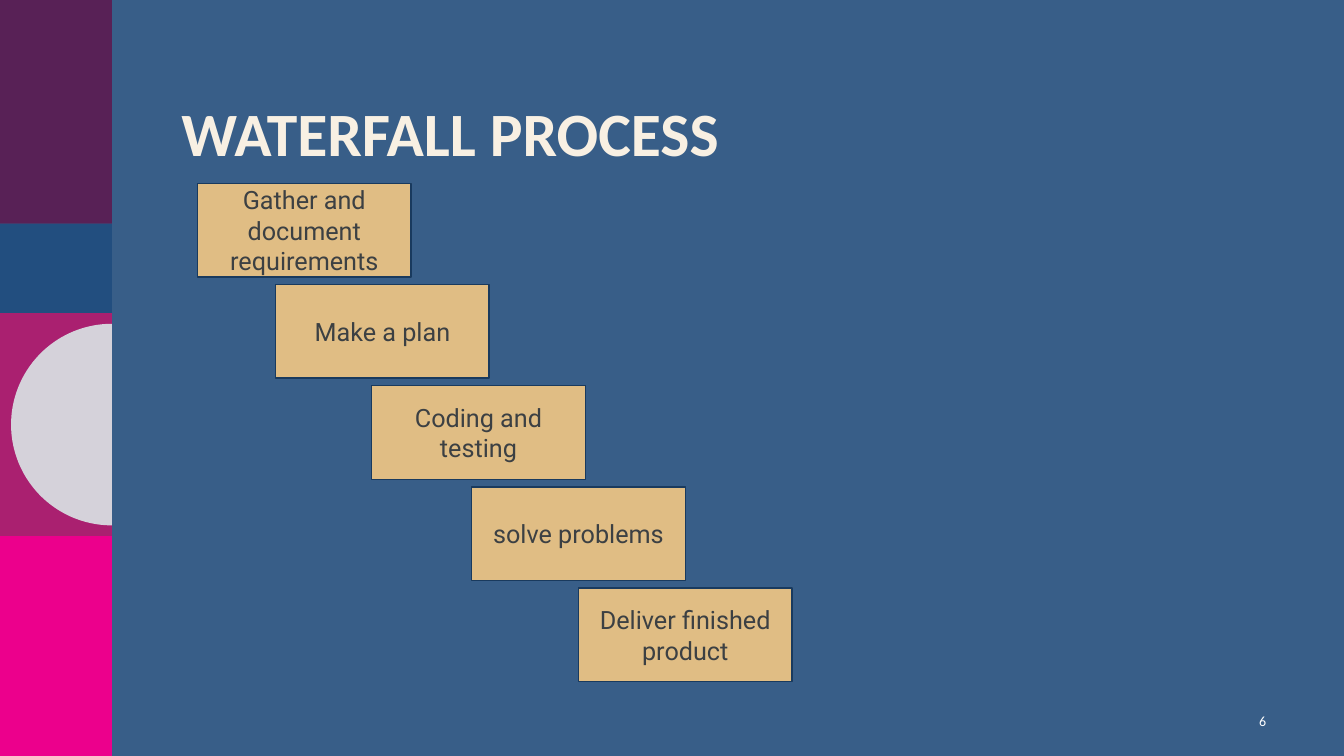
import math

import pptx
import pptx.dml.color
import pptx.enum.shapes
import pptx.enum.text
import pptx.util

Cm = pptx.util.Cm
Pt = pptx.util.Pt
RGBColor = pptx.dml.color.RGBColor
Align = pptx.enum.text.PP_ALIGN
Anchor = pptx.enum.text.MSO_ANCHOR

BACKGROUND = RGBColor(0x38, 0x5E, 0x88)
PURPLE = RGBColor(0x58, 0x21, 0x56)
NAVY = RGBColor(0x22, 0x4E, 0x7F)
BERRY = RGBColor(0xAA, 0x20, 0x70)
PINK = RGBColor(0xEC, 0x00, 0x8C)
PALE = RGBColor(0xD5, 0xD2, 0xDA)
CREAM = RGBColor(0xF8, 0xF0, 0xE3)
WHITE = RGBColor(0xFF, 0xFF, 0xFF)
SAND = RGBColor(0xE0, 0xBD, 0x84)
OUTLINE = RGBColor(0x19, 0x3A, 0x5E)
INK = RGBColor(0x3C, 0x40, 0x43)

# Band colours and heights in cm, from top to bottom
BANDS = [(PURPLE, 5.64), (NAVY, 2.25), (BERRY, 5.62), (PINK, 5.54)]
# Step labels and their indents in cm from the first step
STEPS = [
    ("Gather and document requirements", 0),
    ("Make a plan", 1.97),
    ("Coding and testing", 4.39),
    ("solve problems", 6.91),
    ("Deliver finished product", 9.6),
]


def add_box(page, left, top, width, height, fill):
    box = page.shapes.add_shape(
        pptx.enum.shapes.MSO_SHAPE.RECTANGLE, Cm(left), Cm(top), Cm(width), Cm(height))
    box.shadow.inherit = False
    box.fill.solid()
    box.fill.fore_color.rgb = fill
    box.line.fill.background()
    return box


def write_text(box, text, font_name, size, color, align, anchor, bold=False):
    frame = box.text_frame
    frame.word_wrap = True
    frame.vertical_anchor = anchor
    para = frame.paragraphs[0]
    para.text = text
    para.alignment = align
    para.font.name = font_name
    para.font.size = Pt(size)
    para.font.bold = bold
    para.font.color.rgb = color
    return para


def add_text(page, left, top, width, height, *style, **options):
    box = page.shapes.add_textbox(Cm(left), Cm(top), Cm(width), Cm(height))
    return write_text(box, *style, **options)


def draw_sidebar(page, left, top, width):
    # Stacked colour bands
    band_top = top
    for color, height in BANDS:
        add_box(page, left, band_top, width, height, color)
        band_top += height

    # Half disc against the right edge
    radius = 2.54
    center_x, center_y = left + width, top + 10.7
    points = []
    for degrees in range(90, 271, 2):
        angle = math.radians(degrees)
        points.append((Cm(center_x + radius * math.cos(angle)),
                       Cm(center_y + radius * math.sin(angle))))
    builder = page.shapes.build_freeform(*points[0])
    builder.add_line_segments(points[1:], close=True)
    disc = builder.convert_to_shape()
    disc.shadow.inherit = False
    disc.fill.solid()
    disc.fill.fore_color.rgb = PALE
    disc.line.fill.background()


def draw_title(page, left, top, width, height):
    para = add_text(page, left, top, width, height, "WATERFALL PROCESS",
                    "Calibri", 44, CREAM, Align.LEFT, Anchor.TOP, bold=True)
    para.line_spacing = 0.9


def draw_page_number(page, left, top, width, height):
    add_text(page, left, top, width, height, "6",
             "Calibri", 10, WHITE, Align.RIGHT, Anchor.MIDDLE)


def draw_waterfall(page, left, top, step_width, step_height, pitch):
    for row, (label, indent) in enumerate(STEPS):
        box = add_box(page, left + indent, top + row * pitch, step_width, step_height, SAND)
        box.line.color.rgb = OUTLINE
        box.line.width = Pt(1)
        write_text(box, label, "Roboto", 18, INK, Align.CENTER, Anchor.MIDDLE)


def main():
    deck = pptx.Presentation()
    deck.slide_width = Cm(33.87)
    deck.slide_height = Cm(19.05)
    page = deck.slides.add_slide(deck.slide_layouts[6])
    page.background.fill.solid()
    page.background.fill.fore_color.rgb = BACKGROUND

    draw_sidebar(page, 0, 0, 2.82)
    draw_title(page, 4.32, 2.49, 27.41, 2.13)
    draw_page_number(page, 30.89, 17.65, 1.27, 1.02)
    draw_waterfall(page, 4.98, 4.62, 5.38, 2.36, 2.55)
    deck.save("out.pptx")


if __name__ == "__main__":
    main()
